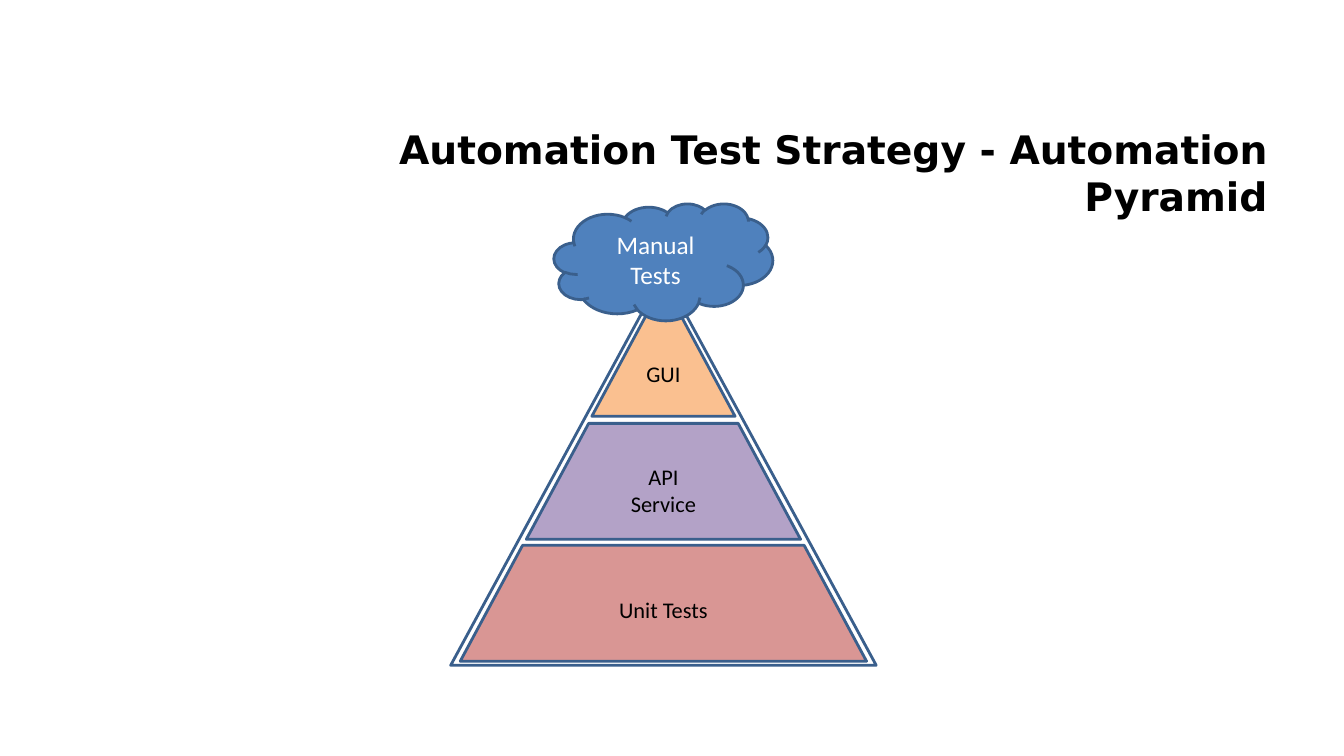
from pptx import Presentation
from pptx.dml.color import RGBColor
from pptx.enum.shapes import MSO_SHAPE
from pptx.enum.text import MSO_ANCHOR, PP_ALIGN
from pptx.util import Inches, Pt

TITLE = "Automation Test Strategy - Automation Pyramid"
OUTLINE = "3A5F8C"
CENTER = 6.58
TIER_SLOPE = 0.538

# lines, top, width, height, fill
TIERS = [
    (["Unit Tests"], 5.41, 4.03, 1.15, "D99694"),
    (["API", "Service"], 4.2, 2.72, 1.15, "B3A2C7"),
    (["GUI"], 2.9, 1.42, 1.23, "FAC090"),
]


def color(hex_code):
    return RGBColor.from_string(hex_code)


def write(shape, lines, size, font_name, font_color, align, bold=False):
    frame = shape.text_frame
    frame.word_wrap = True
    frame.vertical_anchor = MSO_ANCHOR.MIDDLE
    frame.text = "\n".join(lines)
    for paragraph in frame.paragraphs:
        paragraph.alignment = align
        font = paragraph.font
        font.name, font.size, font.bold = font_name, Pt(size), bold
        font.color.rgb = color(font_color)


def add_part(group, kind, center, top, width, height, fill):
    """Add an outlined shape centred on a horizontal position."""
    shape = group.shapes.add_shape(
        kind, Inches(center - width / 2), Inches(top), Inches(width), Inches(height))
    shape.shadow.inherit = False
    shape.fill.solid()
    shape.fill.fore_color.rgb = color(fill)
    shape.line.color.rgb = color(OUTLINE)
    shape.line.width = Pt(2)
    return shape


def main():
    presentation = Presentation()
    presentation.slide_width, presentation.slide_height = Inches(13.33), Inches(7.5)
    slide = presentation.slides.add_slide(presentation.slide_layouts[5])

    title = slide.shapes.title
    title.left, title.top = Inches(2.89), Inches(1.25)
    title.width, title.height = Inches(9.78), Inches(0.92)
    write(title, [TITLE], 28, "DejaVu Sans", "000000", PP_ALIGN.RIGHT, bold=True)

    pyramid = slide.shapes.add_group_shape()
    add_part(pyramid, MSO_SHAPE.ISOSCELES_TRIANGLE, CENTER, 2.71, 4.22, 3.89, "FFFFFF")
    for lines, top, width, height, fill in TIERS:
        tier = add_part(pyramid, MSO_SHAPE.TRAPEZOID, CENTER, top, width, height, fill)
        tier.adjustments[0] = TIER_SLOPE
        write(tier, lines, 16, "Calibri", "000000", PP_ALIGN.CENTER)
    cloud = add_part(pyramid, MSO_SHAPE.CLOUD, CENTER, 2.02, 2.17, 1.16, "4F81BD")
    write(cloud, ["Manual Tests"], 18, "Calibri", "FFFFFF", PP_ALIGN.CENTER)

    presentation.save("out.pptx")


if __name__ == "__main__":
    main()
